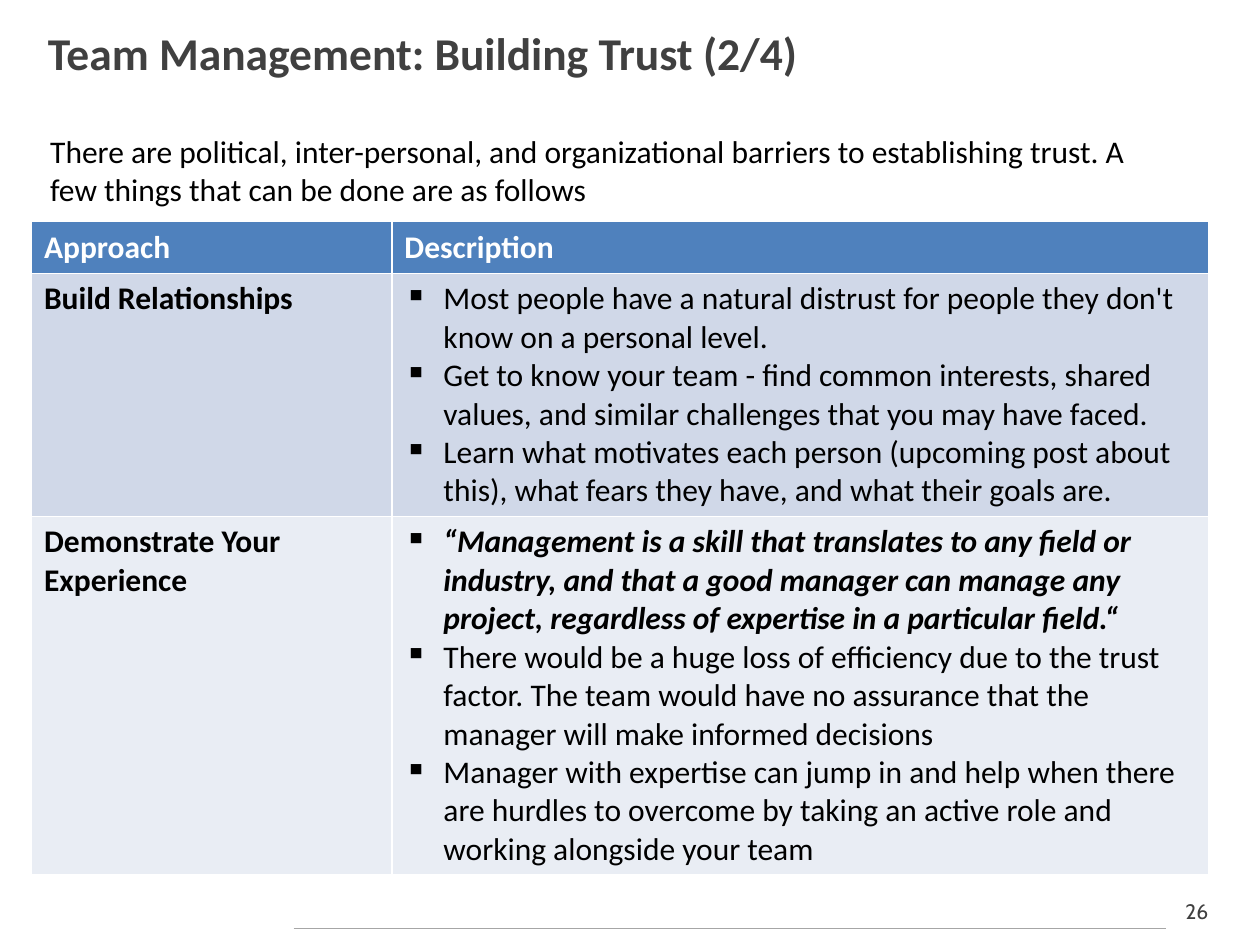
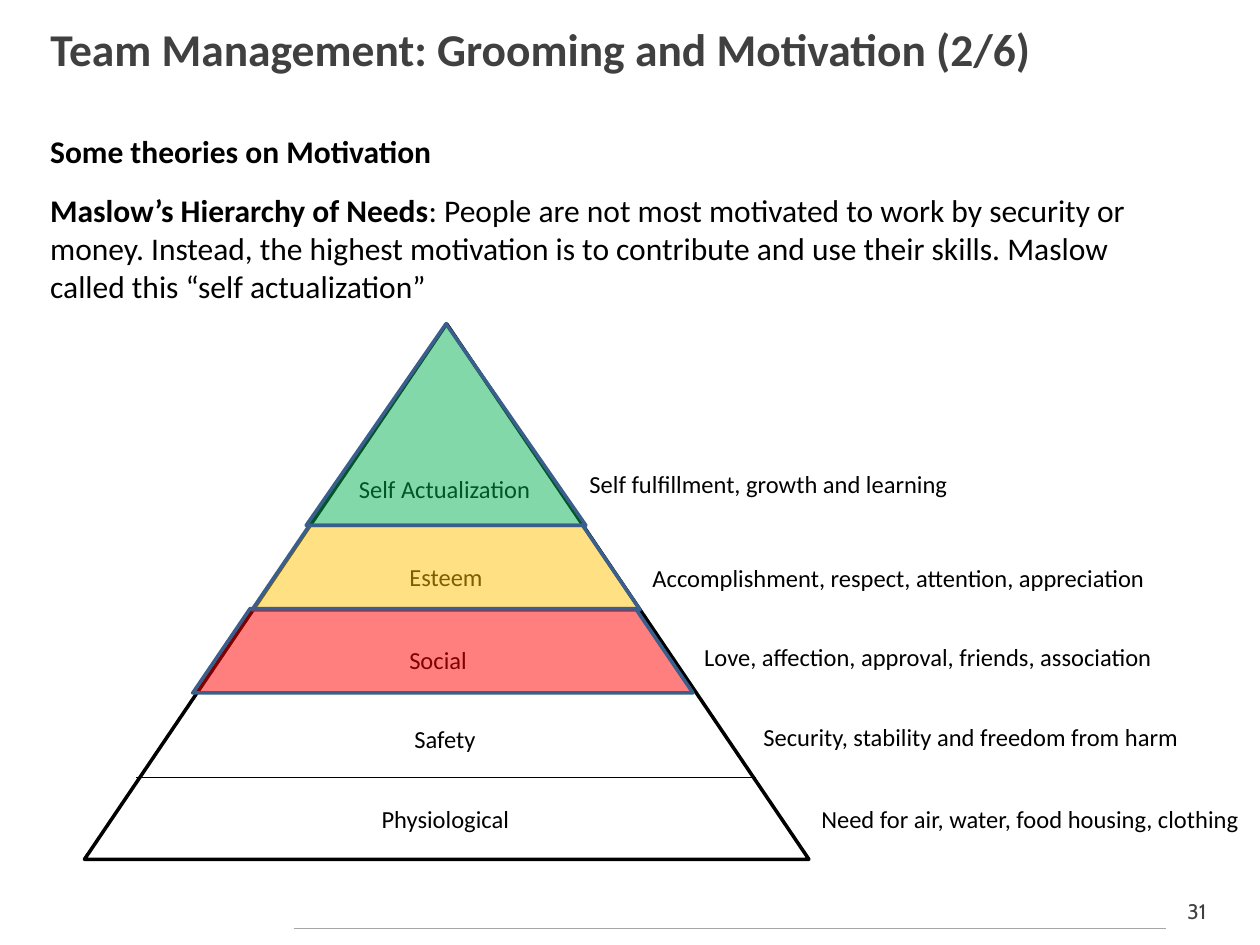
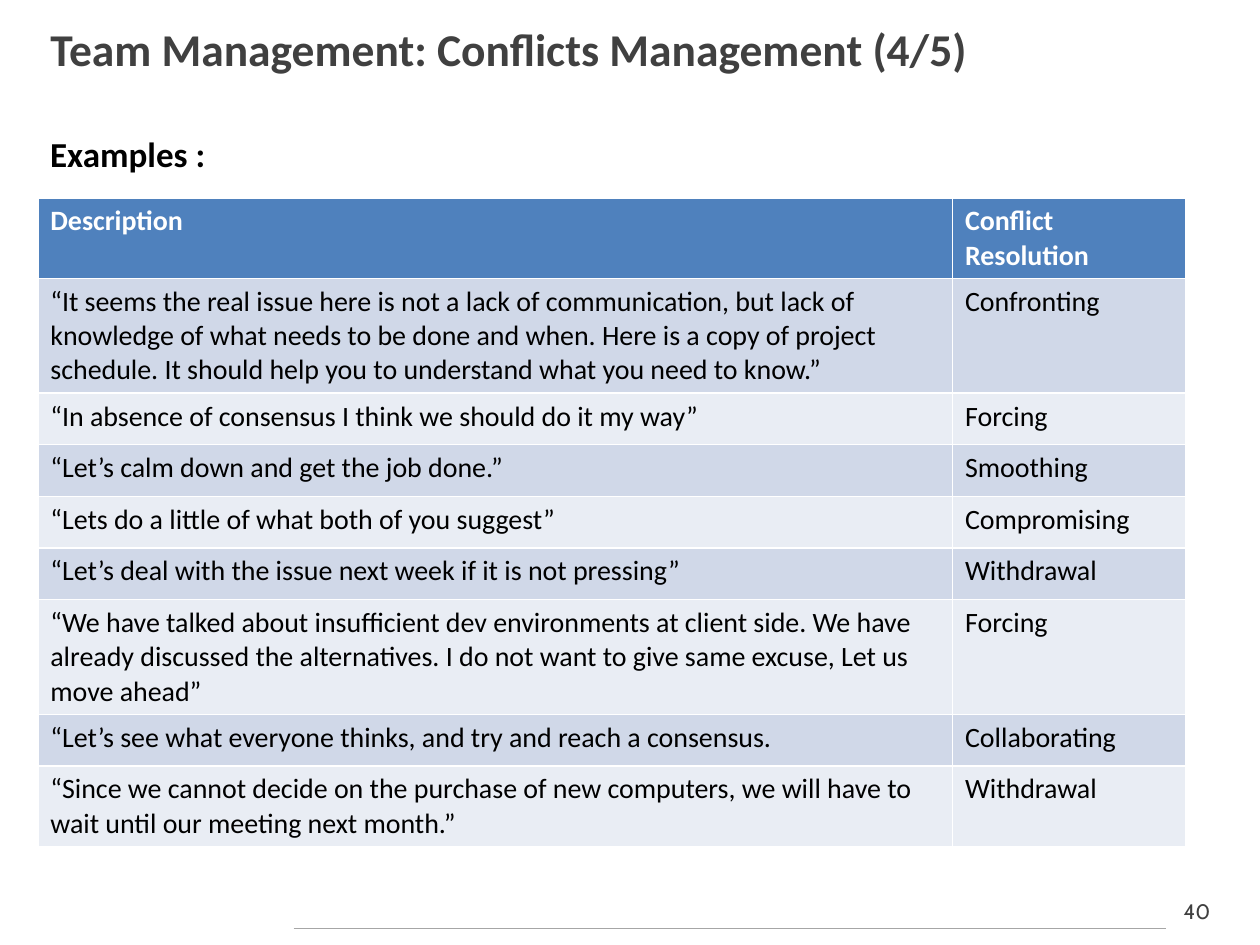
from dataclasses import dataclass

from lxml.etree import SubElement
from pptx import Presentation
from pptx.dml.color import RGBColor
from pptx.enum.shapes import MSO_CONNECTOR, MSO_SHAPE
from pptx.enum.text import MSO_ANCHOR, MSO_AUTO_SIZE, PP_ALIGN
from pptx.oxml.ns import qn
from pptx.util import Inches, Pt


@dataclass(frozen=True)
class Theme:
    font: str = "Calibri"
    number_font: str = "Cabin"
    black: str = "000000"
    white: str = "FFFFFF"
    grey: str = "404040"
    rule: str = "A6A6A6"
    header: str = "4F81BD"
    bands: tuple = ("D0D8E8", "E9EDF4")
    outline: str = "3A5F8C"
    green: str = "00B050"
    amber: str = "FFC000"
    red: str = "FF0000"
    title_size: int = 26
    heading_size: int = 20
    body_size: int = 18
    table_size: int = 16
    label_size: int = 14
    number_size: int = 12


THEME = Theme()


class DeckBuilder:
    """Holds the theme and the current page."""

    def __init__(self, theme):
        self.theme = theme
        self.deck = Presentation()
        self.deck.slide_width, self.deck.slide_height = Inches(10), Inches(7.5)
        self.page = None

    def start_page(self, title, number, left=0.3, top=0.12):
        theme = self.theme
        self.page = self.deck.slides.add_slide(self.deck.slide_layouts[5])
        # Title
        box = self.page.shapes.title
        box.left, box.top = Inches(left), Inches(top)
        box.width, box.height = Inches(9.36), Inches(0.63)
        frame = box.text_frame
        frame.text = title
        frame.auto_size = MSO_AUTO_SIZE.NONE
        frame.vertical_anchor = MSO_ANCHOR.TOP
        frame.paragraphs[0].alignment = PP_ALIGN.LEFT
        self.style(frame.paragraphs[0], theme.title_size, theme.grey, bold=True)
        # Footer
        self.line(2.33, 7.37, 9.25, 7.37, theme.rule)
        frame = self.text(str(number), 9.25, 7.08, 0.5, 0.3, theme.number_size,
                          color=theme.grey, font=theme.number_font)
        frame.paragraphs[0].alignment = PP_ALIGN.CENTER

    def style(self, para, size, color, bold=False, font=None):
        for span in para.runs:
            span.font.name = font or self.theme.font
            span.font.size = Pt(size)
            span.font.bold = bold
            span.font.color.rgb = RGBColor.from_string(color)

    def text(self, words, left, top, width, height, size, color=None,
             bold=False, font=None, wrap=True):
        box = self.page.shapes.add_textbox(
            Inches(left), Inches(top), Inches(width), Inches(height))
        frame = box.text_frame
        frame.word_wrap = wrap
        frame.text = words
        self.style(frame.paragraphs[0], size, color or self.theme.black, bold, font)
        return frame

    def label(self, words, left, top, width):
        self.text(words, left, top, width, 0.34, self.theme.label_size, wrap=False)

    def line(self, x1, y1, x2, y2, color):
        line = self.page.shapes.add_connector(
            MSO_CONNECTOR.STRAIGHT, Inches(x1), Inches(y1), Inches(x2), Inches(y2))
        line.line.color.rgb = RGBColor.from_string(color)
        line.line.width = Pt(0.75)
        SubElement(line.element.spPr, qn("a:effectLst"))

    def shape(self, kind, left, top, width, height, outline, fill=None, opacity=50):
        shape = self.page.shapes.add_shape(
            kind, Inches(left), Inches(top), Inches(width), Inches(height))
        shape.shadow.inherit = False
        shape.line.color.rgb = RGBColor.from_string(outline)
        shape.line.width = Pt(2)
        if fill is None:
            shape.fill.background()
        else:
            shape.fill.solid()
            shape.fill.fore_color.rgb = RGBColor.from_string(fill)
            color = shape.element.spPr.find(qn("a:solidFill")).find(qn("a:srgbClr"))
            SubElement(color, qn("a:alpha"), val=str(opacity * 1000))
        return shape

    def bullet(self, para):
        properties = para._p.get_or_add_pPr()
        properties.set("marL", str(Inches(0.31)))
        properties.set("indent", str(-Inches(0.31)))
        SubElement(properties, qn("a:buChar"), char="▪")

    def table(self, rows, left, top, widths, heights, size, bold_first=False):
        """Draw rows of cells; a cell given as a list becomes bullets."""
        theme = self.theme
        table = self.page.shapes.add_table(
            len(rows), len(widths), Inches(left), Inches(top),
            Inches(sum(widths)), Inches(sum(heights))).table
        for column, width in zip(table.columns, widths):
            column.width = Inches(width)
        for r, (row, height) in enumerate(zip(rows, heights)):
            table.rows[r].height = Inches(height)
            fill = theme.bands[(r - 1) % 2] if r else theme.header
            color = theme.black if r else theme.white
            for c, content in enumerate(row):
                cell = table.cell(r, c)
                cell.fill.solid()
                cell.fill.fore_color.rgb = RGBColor.from_string(fill)
                bulleted = isinstance(content, list)
                cell.text_frame.text = "\n".join(content) if bulleted else content
                for para in cell.text_frame.paragraphs:
                    if bulleted:
                        self.bullet(para)
                    self.style(para, size, color, r == 0 or (bold_first and c == 0))
        return table


def trust_page(builder):
    builder.start_page("Team Management: Building Trust (2/4)", 26, 0.28, 0.15)
    builder.text(
        "There are political, inter-personal, and organizational barriers to "
        "establishing trust. A few things that can be done are as follows",
        0.3, 1, 8.78, 0.75, THEME.body_size)
    rows = [
        ("Approach", "Description"),
        ("Build Relationships", [
            "Most people have a natural distrust for people they don't know on a "
            "personal level.",
            "Get to know your team - find common interests, shared values, and "
            "similar challenges that you may have faced.",
            "Learn what motivates each person (upcoming post about this), what "
            "fears they have, and what their goals are."]),
        ("Demonstrate Your Experience", [
            "“Management is a skill that translates to any field or industry, and "
            "that a good manager can manage any project, regardless of expertise "
            "in a particular field.“",
            "There would be a huge loss of efficiency due to the trust factor. The "
            "team would have no assurance that the manager will make informed "
            "decisions",
            "Manager with expertise can jump in and help when there are hurdles to "
            "overcome by taking an active role and working alongside your team"]),
    ]
    table = builder.table(rows, 0.25, 1.76, (2.86, 6.48), (0.41, 1.93, 2.84),
                          THEME.body_size, bold_first=True)
    quote = table.cell(2, 1).text_frame.paragraphs[0].runs[0]
    quote.font.bold = quote.font.italic = True


def motivation_page(builder):
    builder.start_page("Team Management: Grooming and Motivation (2/6)", 31)
    # Introduction
    frame = builder.text("Some theories on Motivation", 0.3, 1, 8.83, 1.5,
                         THEME.body_size, bold=True)
    para = frame.add_paragraph()
    para.space_before = Pt(12)
    para.text = "Maslow’s Hierarchy of Needs"
    para.add_run().text = (
        ": People are not most motivated to work by security or money. Instead, the "
        "highest motivation is to contribute and use their skills. Maslow called "
        "this “self actualization”")
    builder.style(para, THEME.body_size, THEME.black)
    para.runs[0].font.bold = True

    # Pyramid with its dividers
    builder.shape(MSO_SHAPE.ISOSCELES_TRIANGLE, 0.67, 2.57, 5.75, 4.25, THEME.black)
    dividers = [(2.43, 4.6, 4.17), (2, 5.08, 4.83), (1.53, 5.5, 5.5), (1.08, 6, 6.17)]
    for left, right, y in dividers:
        builder.line(left, y, right, y, THEME.black)

    # Level names inside, needs beside: text, left, top, width
    labels = [
        ("Self Actualization", 2.75, 3.71, 1.58),
        ("Esteem", 3.15, 4.41, 0.79),
        ("Social", 3.15, 5.07, 0.66),
        ("Safety", 3.19, 5.7, 0.69),
        ("Physiological", 2.93, 6.33, 1.23),
        ("Self fulfillment, growth and learning", 4.58, 3.67, 3.07),
        ("Accomplishment, respect, attention, appreciation", 5.08, 4.42, 4.15),
        ("Love, affection, approval, friends, association", 5.49, 5.05, 3.79),
        ("Security, stability and freedom from harm", 5.96, 5.68, 3.52),
        ("Need for air, water, food housing, clothing", 6.42, 6.33, 3.54),
    ]
    for label in labels:
        builder.label(*label)

    # Tinted upper levels
    builder.shape(MSO_SHAPE.ISOSCELES_TRIANGLE, 2.43, 2.57, 2.22, 1.6,
                  THEME.outline, THEME.green, 49)
    levels = [(2, 4.17, 3.08, THEME.amber, 49), (1.53, 4.83, 3.97, THEME.red, 50)]
    for left, top, width, fill, opacity in levels:
        level = builder.shape(MSO_SHAPE.TRAPEZOID, left, top, width, 0.67,
                              THEME.outline, fill, opacity)
        level.adjustments[0] = 0.68


def conflicts_page(builder):
    builder.start_page("Team Management: Conflicts Management (4/5)", 40)
    rows = [
        ("Description", "Conflict Resolution"),
        ("“It seems the real issue here is not a lack of communication, but lack of "
         "knowledge of what needs to be done and when. Here is a copy of project "
         "schedule. It should help you to understand what you need to know.”",
         "Confronting"),
        ("“In absence of consensus I think we should do it my way”", "Forcing"),
        ("“Let’s calm down and get the job done.”", "Smoothing"),
        ("“Lets do a little of what both of you suggest”", "Compromising"),
        ("“Let’s deal with the issue next week if it is not pressing”", "Withdrawal"),
        ("“We have talked about insufficient dev environments at client side. We have "
         "already discussed the alternatives. I do not want to give same excuse, Let "
         "us move ahead”", "Forcing"),
        ("“Let’s see what everyone thinks, and try and reach a consensus.",
         "Collaborating"),
        ("“Since we cannot decide on the purchase of new computers, we will have to "
         "wait until our meeting next month.”", "Withdrawal"),
    ]
    one_line, two_lines, three_lines = 0.41, 0.64, 0.91
    heights = [two_lines, three_lines, *[one_line] * 4, three_lines, one_line, two_lines]
    builder.table(rows, 0.3, 1.57, (7.26, 1.85), heights, THEME.table_size)
    builder.text("Examples :", 0.3, 1, 1.44, 0.44, THEME.heading_size,
                 bold=True, wrap=False)


def main():
    builder = DeckBuilder(THEME)
    trust_page(builder)
    motivation_page(builder)
    conflicts_page(builder)
    builder.deck.save("out.pptx")


if __name__ == "__main__":
    main()
